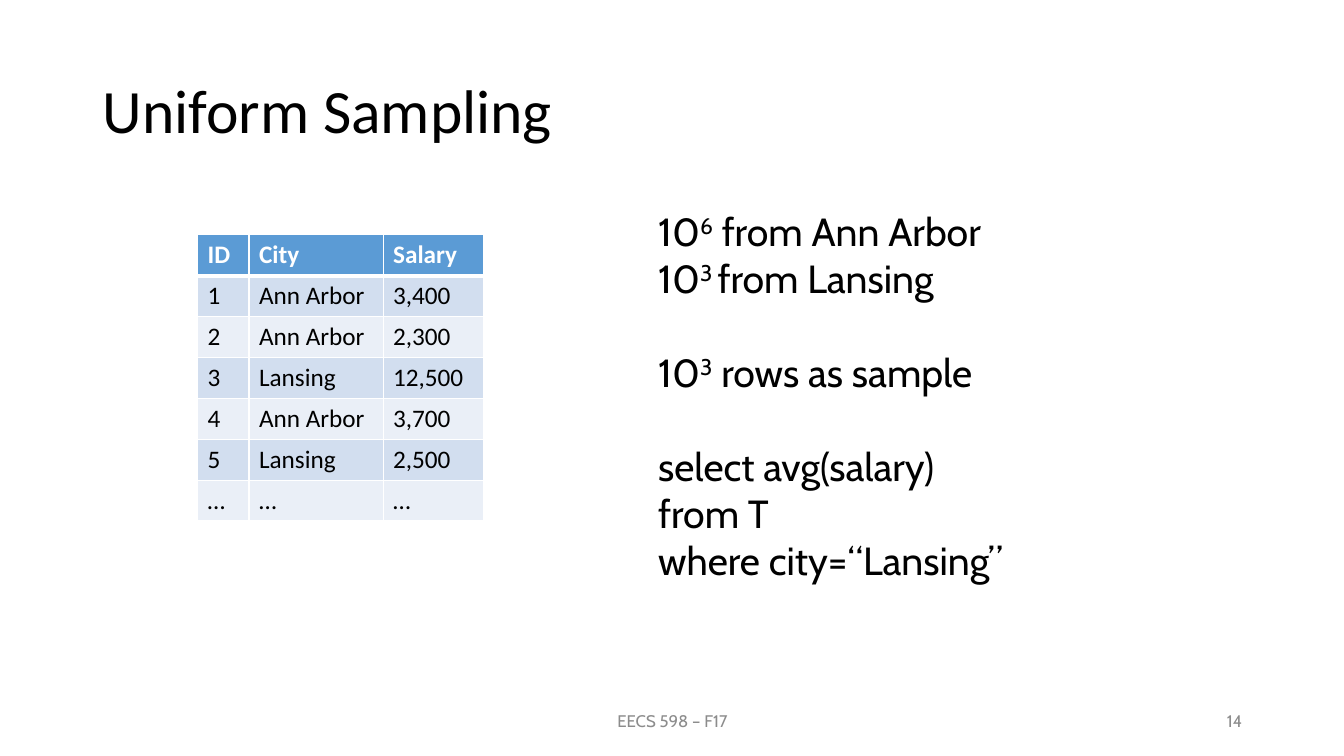
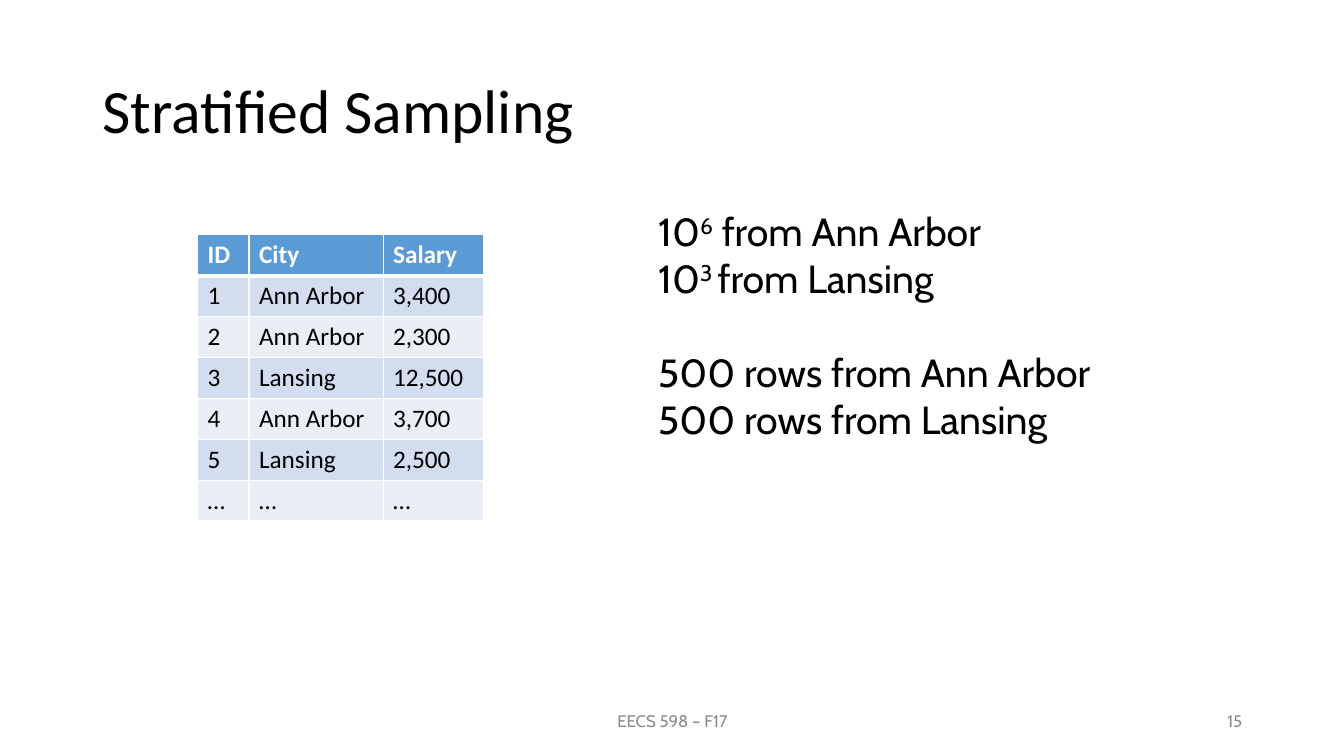
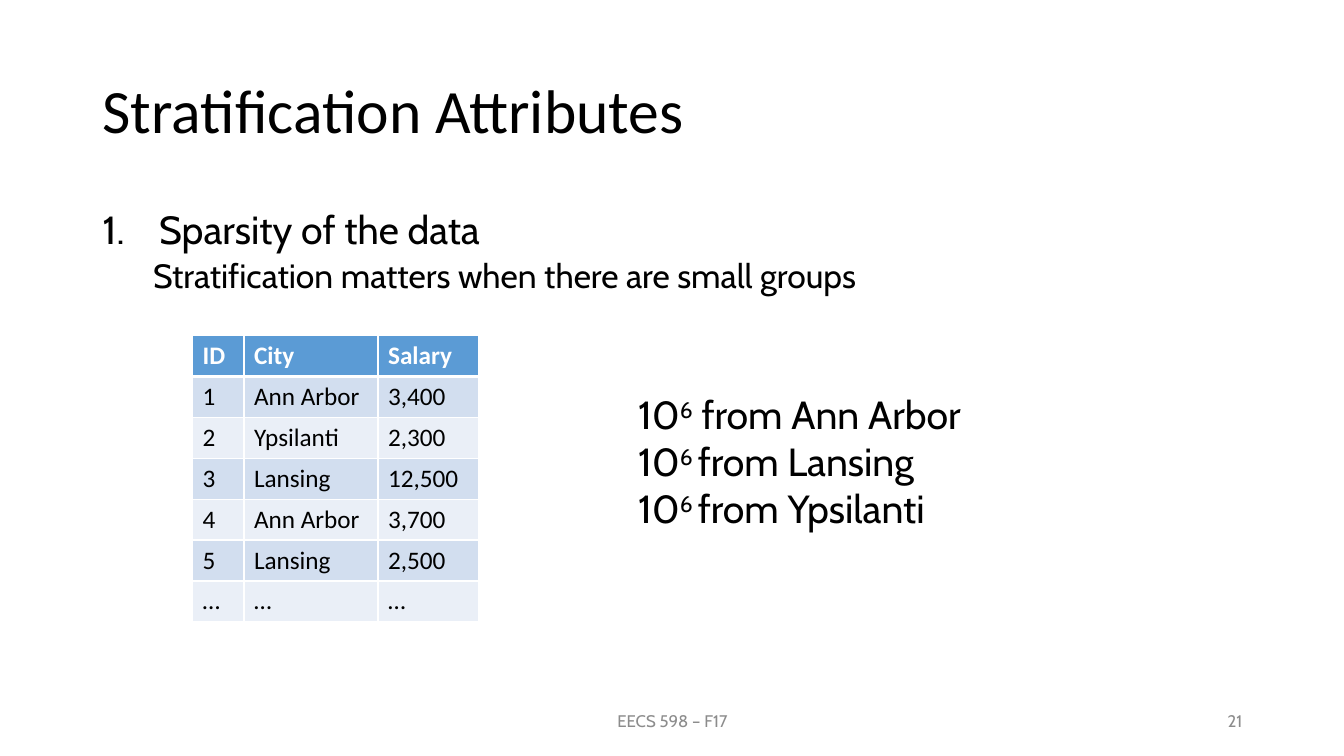
import pptx
import pptx.util
import pptx.dml.color
import pptx.enum.text
import pptx.oxml.ns
from lxml import etree

Inches = pptx.util.Inches
Pt = pptx.util.Pt
ALIGN = pptx.enum.text.PP_ALIGN

COLOURS = {
    "text": "000000",
    "footer": "8C8C8C",
    "line": "FFFFFF",
    "header_text": "FFFFFF",
    "header": "5B9BD5",
    "band_dark": "D2DEEF",
    "band_light": "EAEFF7",
}
HEADING_FONT = "Calibri"
BODY_FONT = "Cabin"
BODY_SIZE = 28
BLANK_LINE = 33.6
COLUMN_WIDTHS = (0.51, 1.33, 1.0)
ROW_HEIGHT = 2.84 / 7

ANN_ARBOR_MILLION = ("10", "6", " from Ann Arbor")
LANSING_THOUSAND = ("10", "3 ", "from Lansing")


def colour(name):
    return pptx.dml.color.RGBColor.from_string(COLOURS[name])


def add_run(paragraph, text, size, font, colour_name, bold=False):
    run = paragraph.add_run()
    run.text = text
    run.font.size = Pt(size)
    run.font.name = font
    run.font.bold = bold
    run.font.color.rgb = colour(colour_name)
    return run


def add_text_box(slide, left, top, width, height):
    box = slide.shapes.add_textbox(Inches(left), Inches(top), Inches(width), Inches(height))
    frame = box.text_frame
    frame.word_wrap = True
    frame.vertical_anchor = pptx.enum.text.MSO_ANCHOR.MIDDLE
    return frame


def add_label(slide, place, text, size, font, colour_name, alignment, line_spacing=1.0):
    paragraph = add_text_box(slide, *place).paragraphs[0]
    paragraph.alignment = alignment
    paragraph.line_spacing = line_spacing
    add_run(paragraph, text, size, font, colour_name)


def add_groups(slide, place, groups):
    frame = add_text_box(slide, *place)
    paragraph = None
    for group in groups:
        for index, parts in enumerate(group):
            first = paragraph is None
            paragraph = frame.paragraphs[0] if first else frame.add_paragraph()
            if index == 0 and not first:
                paragraph.space_before = Pt(BLANK_LINE)
            for position, part in enumerate(parts):
                run = add_run(paragraph, part, BODY_SIZE, BODY_FONT, "text")
                if position % 2:
                    run._r.get_or_add_rPr().set("baseline", "30000")


def add_numbered_point(slide, place, point, detail):
    frame = add_text_box(slide, *place)
    heading = frame.paragraphs[0]
    properties = heading._p.get_or_add_pPr()
    properties.set("marL", str(Inches(0.56)))
    properties.set("indent", str(-Inches(0.56)))
    number = etree.SubElement(properties, pptx.oxml.ns.qn("a:buAutoNum"))
    number.set("type", "arabicPeriod")
    heading.line_spacing = 0.9
    add_run(heading, point, BODY_SIZE, BODY_FONT, "text")

    explanation = frame.add_paragraph()
    explanation._p.get_or_add_pPr().set("marL", str(Inches(0.5)))
    explanation.line_spacing = 0.9
    explanation.space_before = Pt(5)
    add_run(explanation, detail, 24, BODY_FONT, "text")


def set_borders(cell, widths):
    properties = cell._tc.get_or_add_tcPr()
    for index, (side, width) in enumerate(widths.items()):
        line = etree.Element(pptx.oxml.ns.qn("a:ln" + side), w=str(Pt(width)))
        fill = etree.SubElement(line, pptx.oxml.ns.qn("a:solidFill"))
        etree.SubElement(fill, pptx.oxml.ns.qn("a:srgbClr"), val=COLOURS["line"])
        properties.insert(index, line)


def add_salary_table(slide, left, top, second_city):
    rows = [
        ("ID", "City", "Salary"),
        ("1", "Ann Arbor", "3,400"),
        ("2", second_city, "2,300"),
        ("3", "Lansing", "12,500"),
        ("4", "Ann Arbor", "3,700"),
        ("5", "Lansing", "2,500"),
        ("…", "…", "…"),
    ]
    table = slide.shapes.add_table(
        len(rows), len(COLUMN_WIDTHS), Inches(left), Inches(top),
        Inches(sum(COLUMN_WIDTHS)), Inches(ROW_HEIGHT * len(rows)),
    ).table
    for column, width in zip(table.columns, COLUMN_WIDTHS):
        column.width = Inches(width)
    for row_index, values in enumerate(rows):
        table.rows[row_index].height = Inches(ROW_HEIGHT)
        is_header = row_index == 0
        band = "header" if is_header else "band_dark" if row_index % 2 else "band_light"
        for column_index, value in enumerate(values):
            cell = table.cell(row_index, column_index)
            cell.fill.solid()
            cell.fill.fore_color.rgb = colour(band)
            set_borders(cell, {
                "L": 1, "R": 1,
                "T": 3 if row_index == 1 else 1,
                "B": 3 if is_header else 1,
            })
            add_run(cell.text_frame.paragraphs[0], value, 18, HEADING_FONT,
                    "header_text" if is_header else "text", is_header)


def add_page(presentation, title, number):
    slide = presentation.slides.add_slide(presentation.slide_layouts[6])
    add_label(slide, (0.92, 0.4, 11.5, 1.45), title, 44, HEADING_FONT, "text", ALIGN.LEFT, 0.9)
    add_label(slide, (4.42, 6.95, 4.5, 0.4), "EECS 598 – F17", 12, BODY_FONT, "footer", ALIGN.CENTER)
    add_label(slide, (9.42, 6.95, 3, 0.4), str(number), 12, BODY_FONT, "footer", ALIGN.RIGHT)
    return slide


def main():
    presentation = pptx.Presentation()
    presentation.slide_width = Inches(13.33)
    presentation.slide_height = Inches(7.5)

    uniform = add_page(presentation, "Uniform Sampling", 14)
    add_groups(uniform, (6.43, 1.54, 5.72, 4.76), [
        [ANN_ARBOR_MILLION, LANSING_THOUSAND],
        [("10", "3", " rows as sample")],
        [("select avg(salary)",), ("from T",), ("where city=“Lansing”",)],
    ])
    add_salary_table(uniform, 1.96, 2.33, "Ann Arbor")

    stratified = add_page(presentation, "Stratified Sampling", 15)
    add_groups(stratified, (6.43, 0.84, 5.72, 4.76), [
        [ANN_ARBOR_MILLION, LANSING_THOUSAND],
        [("500 rows from Ann Arbor",), ("500 rows from Lansing",)],
    ])
    add_salary_table(stratified, 1.96, 2.33, "Ann Arbor")

    attributes = add_page(presentation, "Stratification Attributes", 21)
    add_numbered_point(attributes, (0.92, 1.77, 11.5, 1.48), "Sparsity of the data",
                       "Stratification matters when there are small groups")
    add_salary_table(attributes, 1.91, 3.33, "Ypsilanti")
    add_groups(attributes, (6.23, 3.67, 5.72, 1.81), [
        [ANN_ARBOR_MILLION, ("10", "6 ", "from Lansing"), ("10", "6 ", "from Ypsilanti")],
    ])

    presentation.save("out.pptx")


if __name__ == "__main__":
    main()
